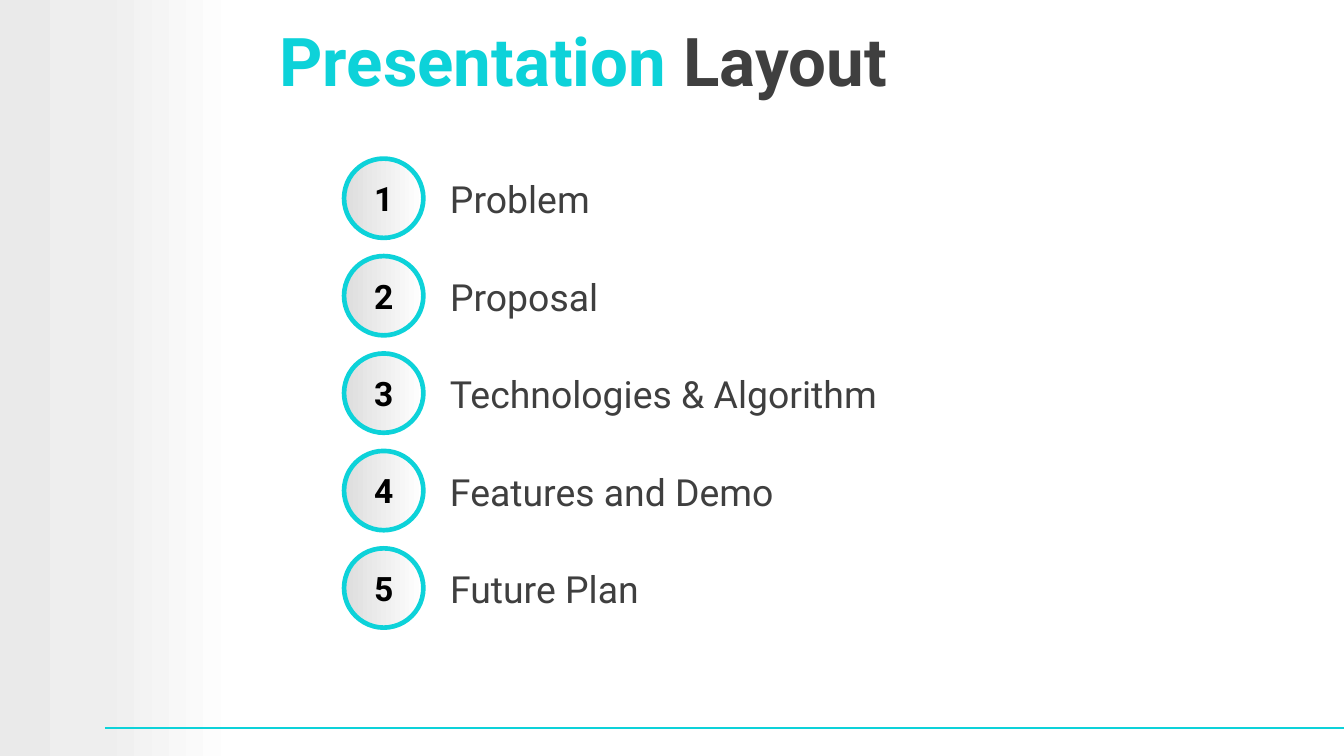
from copy import deepcopy

from lxml import etree
from pptx import Presentation
from pptx import util as u
from pptx.dml.color import RGBColor
from pptx.enum import shapes, text
from pptx.oxml.ns import qn

CYAN = RGBColor(0x0D, 0xD2, 0xD9)
DARK = RGBColor(0x3F, 0x3F, 0x3F)
BLACK = RGBColor(0, 0, 0)
WHITE = RGBColor(0xFF, 0xFF, 0xFF)
PALE = RGBColor(0xEE, 0xEE, 0xEE)
PALE_EDGE = RGBColor(0xEA, 0xEA, 0xEA)
GREY = RGBColor(0xDD, 0xDD, 0xDD)

COLS, ROWS = 100, 56.25  # grid cells of a tenth of an inch
TOP, PITCH, DISC = 11.8, 7.25, 5.9
# label, width, height
ITEMS = [("Problem", 13.6, 4.3), ("Proposal", 17.2, 7.1),
         ("Technologies & Algorithm", 34.4, 5), ("Features and Demo", 34.4, 5.2),
         ("Future Plan", 18.2, 4.3)]


def add_run(p, words, size=20, color=DARK, bold=False, font="Roboto"):
    r = p.add_run()
    r.text = words
    r.font.name, r.font.size, r.font.bold = font, u.Pt(size), bold
    r.font.color.rgb = color


class Deck:
    """Holds the slide and its style; lengths are in grid columns and rows."""

    def __init__(self):
        self.prs = Presentation()
        self.prs.slide_width = u.Inches(10)
        self.prs.slide_height = self.prs.slide_width * 9 // 16
        self.s = self.prs.slides.add_slide(self.prs.slide_layouts[6])

    def x(self, cols):
        return round(self.prs.slide_width * cols / COLS)

    def y(self, rows):
        return round(self.prs.slide_height * rows / ROWS)

    def box(self, left, top, width, height):
        return self.x(left), self.y(top), self.x(width), self.y(height)

    def gradient_shape(self, kind, at, stops, line=None, parent=None):
        """Draw a shape with a left-to-right gradient of (share, colour) stops."""
        sp = (parent or self.s).shapes.add_shape(kind, *self.box(*at))
        sp.shadow.inherit = False
        sp.fill.gradient()
        sp.fill.gradient_angle = 0
        gs_list = sp._element.spPr.find(qn("a:gradFill")).find(qn("a:gsLst"))
        for _ in stops[2:]:
            gs_list.append(deepcopy(gs_list[-1]))
        for stop, (share, color) in zip(sp.fill.gradient_stops, stops):
            stop.position, stop.color.rgb = share, color
        if line is None:
            sp.line.fill.background()
        else:
            sp.line.color.rgb, sp.line.width = line, u.Pt(2.5)

    def rule(self, x1, x2, y):
        c = self.s.shapes.add_connector(shapes.MSO_CONNECTOR.STRAIGHT,
                                        self.x(x1), self.y(y), self.x(x2), self.y(y))
        c.line.color.rgb, c.line.width = CYAN, u.Pt(1)
        etree.SubElement(c._element.spPr, qn("a:effectLst"))

    def words(self, at, runs, anchor=text.MSO_ANCHOR.TOP, align=text.PP_ALIGN.LEFT,
              indent=1, parent=None):
        tf = (parent or self.s).shapes.add_textbox(*self.box(*at)).text_frame
        tf.word_wrap = True
        tf.vertical_anchor = anchor
        tf.margin_left = self.x(indent)
        p = tf.paragraphs[0]
        p.alignment = align
        for content, style in runs:
            add_run(p, content, **style)

    def badge(self, left, top, number):
        """Draw a numbered disc as one group."""
        g = self.s.shapes.add_group_shape()
        self.gradient_shape(shapes.MSO_SHAPE.OVAL, (left, top, DISC, DISC),
                            [(0, GREY), (1, WHITE)], line=CYAN, parent=g)
        self.words((left + 1, top + 0.95, 3.9, 4),
                   [(str(number), dict(size=18, color=BLACK, bold=True))],
                   anchor=text.MSO_ANCHOR.MIDDLE, align=text.PP_ALIGN.CENTER, parent=g)


def main():
    d = Deck()
    d.gradient_shape(shapes.MSO_SHAPE.RECTANGLE, (0, 0, 17.7, ROWS),
                     [(0, PALE_EDGE), (0.42, PALE), (1, WHITE)])
    d.rule(7.8, COLS, 54.2)
    d.words((17.3, 0.2, 82.7, 8.5),
            [("Presentation ", dict(size=36, color=CYAN, bold=True)),
             ("Layout", dict(size=36, bold=True))],
            anchor=text.MSO_ANCHOR.MIDDLE, indent=3.5)
    for i, (label, width, height) in enumerate(ITEMS):
        top = TOP + i * PITCH
        d.badge(25.6, top, i + 1)
        d.words((32.5, top + 0.85, width, height), [(label, {})])
    d.prs.save("out.pptx")


if __name__ == "__main__":
    main()
